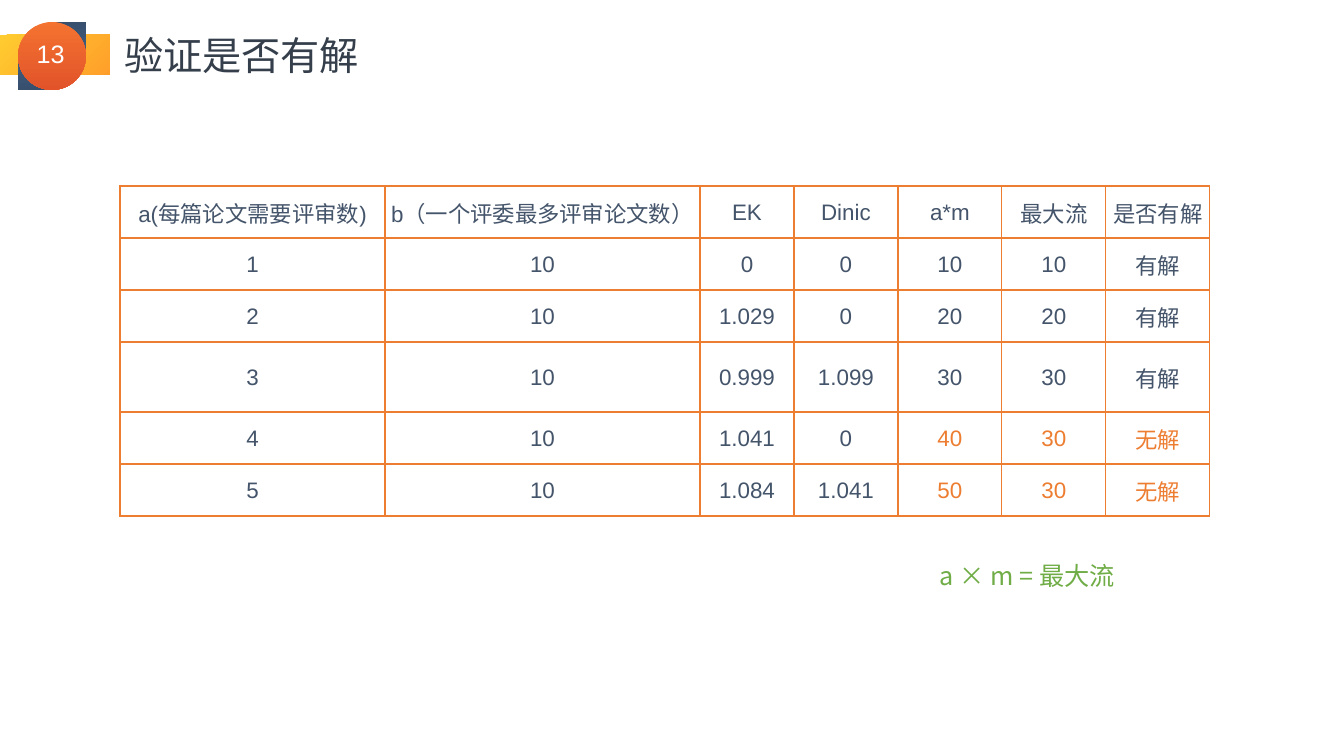
from lxml.etree import SubElement
from pptx import Presentation
from pptx.dml.color import RGBColor
from pptx.enum.shapes import MSO_SHAPE as Shape
from pptx.enum.text import MSO_ANCHOR as Anchor, MSO_AUTO_SIZE as AutoSize, PP_ALIGN as Align
from pptx.oxml.ns import qn
from pptx.util import Pt

EMU_PER_PX = 914400 / 100.8
SLIDE_SIZE = (1344, 756)

WHITE = RGBColor(0xFF, 0xFF, 0xFF)
YELLOW = RGBColor(0xFF, 0xCC, 0x30)
AMBER = RGBColor(0xFF, 0x9F, 0x2A)
NAVY = RGBColor(0x38, 0x4F, 0x6E)
STEEL = RGBColor(0x4A, 0x6C, 0x90)
CORAL = RGBColor(0xF4, 0x73, 0x31)
RED = RGBColor(0xE2, 0x53, 0x29)
TITLE_GRAY = RGBColor(0x35, 0x3F, 0x4B)
SLATE = RGBColor(0x44, 0x54, 0x6A)
ORANGE = RGBColor(0xED, 0x7D, 0x31)
GREEN = RGBColor(0x70, 0xAD, 0x47)

LATIN_FONT = "Arial"
CHINESE_FONT = "Noto Sans CJK SC"

COLUMN_WIDTHS = [265, 315, 94, 104, 104, 104, 104]
ROW_HEIGHTS = [52, 52, 52, 70, 52, 52]
HEADER = ["a(每篇论文需要评审数)", "b（一个评委最多评审论文数）", "EK", "Dinic", "a*m", "最大流", "是否有解"]
RESULTS = [
    ["1", "10", "0", "0", "10", "10", "有解"],
    ["2", "10", "1.029", "0", "20", "20", "有解"],
    ["3", "10", "0.999", "1.099", "30", "30", "有解"],
    ["4", "10", "1.041", "0", "40", "30", "无解"],
    ["5", "10", "1.084", "1.041", "50", "30", "无解"],
]
FIRST_VERDICT_COLUMN = 4


def px(length):
    return round(length * EMU_PER_PX)


def place(shape, box):
    shape.left, shape.top, shape.width, shape.height = map(px, box)


def write(frame, text, size=18, color=SLATE, font=CHINESE_FONT, align=Align.LEFT):
    paragraph = frame.paragraphs[0]
    paragraph.alignment = align
    run = paragraph.add_run()
    run.text = text
    run.font.name = font
    run.font.size = Pt(size)
    run.font.color.rgb = color
    SubElement(run.font._element, qn("a:ea"), typeface=CHINESE_FONT)


def add_text_box(slide, box, text, wrap=True, **text_format):
    frame = slide.shapes.add_textbox(*map(px, box)).text_frame
    frame.word_wrap = wrap
    write(frame, text, **text_format)


def add_gradient_shape(slide, kind, box, colors, angle=270, rotation=0):
    shape = slide.shapes.add_shape(kind, *map(px, box))
    shape.rotation = rotation
    shape.shadow.inherit = False
    shape.line.fill.background()
    shape.fill.gradient()
    shape.fill.gradient_angle = angle
    for stop, color in zip(shape.fill.gradient_stops, colors):
        stop.color.rgb = color


def add_page_badge(slide, box, number):
    left, top, width, height = box
    circle = 68
    drop = 58
    circle_left = left + 18
    offset = circle - drop
    # Band behind the badge
    add_gradient_shape(slide, Shape.RECTANGLE, (left, top + 13, width, 40), (YELLOW, AMBER), angle=315)
    # Two opposite teardrops with the circle over them
    blues = (NAVY, STEEL)
    add_gradient_shape(slide, Shape.TEAR, (circle_left + offset, top, drop, drop), blues)
    add_gradient_shape(slide, Shape.TEAR, (circle_left, top + offset, drop, drop), blues, rotation=180)
    add_gradient_shape(slide, Shape.OVAL, (circle_left, top, circle, height), (CORAL, RED))
    # Page number
    add_text_box(slide, (left + 25, top + 11, 51, 40), number, wrap=False,
                 color=WHITE, font=LATIN_FONT, align=Align.CENTER)


def set_title(slide, box, text):
    title = slide.shapes.title
    place(title, box)
    frame = title.text_frame
    frame.auto_size = AutoSize.NONE
    frame.word_wrap = False
    frame.vertical_anchor = Anchor.MIDDLE
    write(frame, text, size=28, color=TITLE_GRAY)


def format_cell(cell, text, color):
    cell.vertical_anchor = Anchor.MIDDLE
    cell.margin_left = cell.margin_top = cell.margin_right = px(1)
    cell.margin_bottom = 0
    properties = cell._tc.get_or_add_tcPr()
    for side in ("lnL", "lnR", "lnT", "lnB"):
        border = SubElement(properties, qn(f"a:{side}"), w=str(Pt(1)))
        SubElement(SubElement(border, qn("a:solidFill")), qn("a:srgbClr"), val=str(ORANGE))
    cell.fill.background()
    write(cell.text_frame, text, size=16, color=color, font=LATIN_FONT, align=Align.CENTER)


def add_results_table(slide, left, top):
    rows = [HEADER, *RESULTS]
    box = (left, top, sum(COLUMN_WIDTHS), sum(ROW_HEIGHTS))
    table = slide.shapes.add_table(len(rows), len(HEADER), *map(px, box)).table
    table.first_row = table.horz_banding = False
    for column, width in zip(table.columns, COLUMN_WIDTHS):
        column.width = px(width)
    for row, height in zip(table.rows, ROW_HEIGHTS):
        row.height = px(height)
    for row_index, values in enumerate(rows):
        unsolvable = values[-1] == "无解"
        for column_index, text in enumerate(values):
            highlighted = unsolvable and column_index >= FIRST_VERDICT_COLUMN
            format_cell(table.cell(row_index, column_index), text, ORANGE if highlighted else SLATE)


def main():
    presentation = Presentation()
    presentation.slide_width, presentation.slide_height = map(px, SLIDE_SIZE)
    slide = presentation.slides.add_slide(presentation.slide_layouts[5])

    add_page_badge(slide, (0, 22, 110, 68), "13")
    set_title(slide, (114, 26, 258, 57), "验证是否有解")
    add_results_table(slide, 120, 186)
    add_text_box(slide, (930, 555, 212, 40), "a × m = 最大流", color=GREEN)

    presentation.save("out.pptx")


if __name__ == "__main__":
    main()
